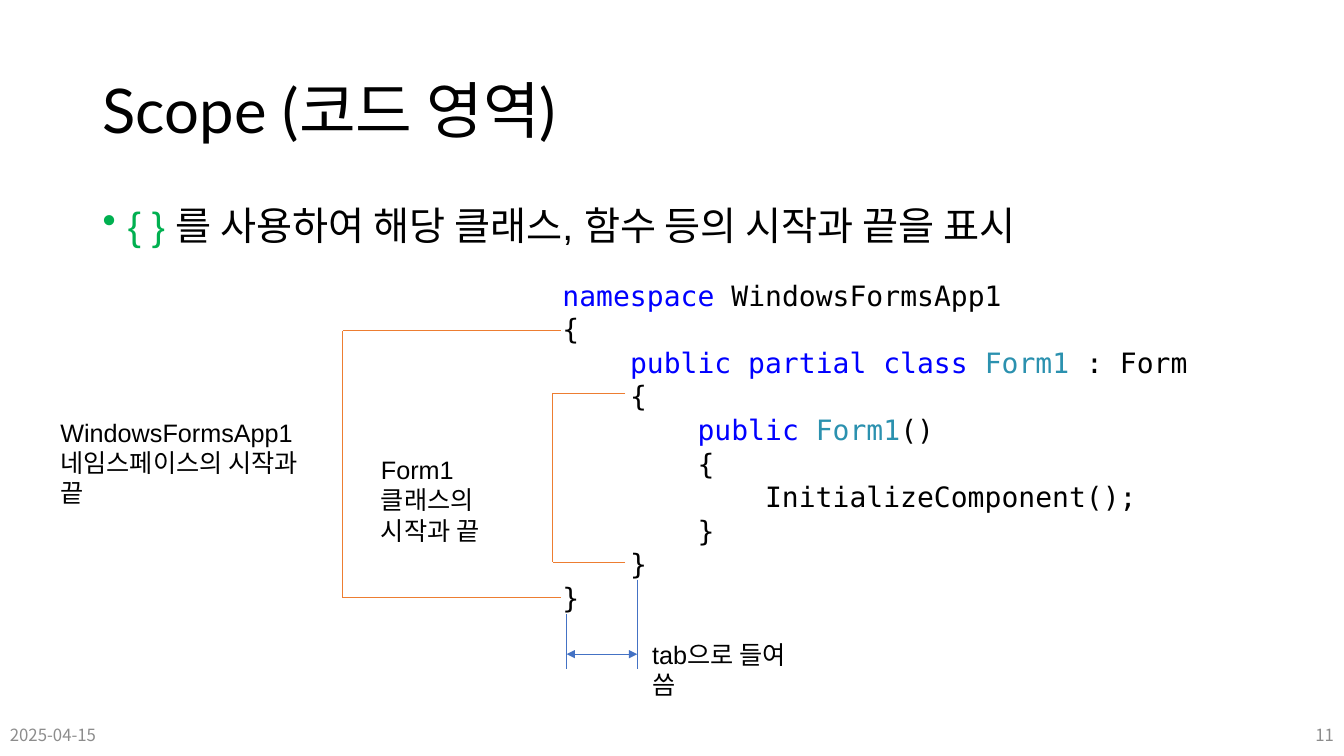
from pptx import Presentation
from pptx.dml.color import RGBColor
from pptx.enum.shapes import MSO_CONNECTOR
from pptx.enum.text import MSO_ANCHOR, PP_ALIGN
from pptx.oxml.ns import qn
from pptx.util import Pt
from lxml import etree

STRAIGHT = MSO_CONNECTOR.STRAIGHT
TOP, MIDDLE = MSO_ANCHOR.TOP, MSO_ANCHOR.MIDDLE
LEFT, RIGHT = PP_ALIGN.LEFT, PP_ALIGN.RIGHT

BLACK = RGBColor(0x00, 0x00, 0x00)
GREEN = RGBColor(0x00, 0xB0, 0x50)
GRAY = RGBColor(0x8C, 0x8C, 0x8C)
KEYWORD = RGBColor(0x00, 0x00, 0xFF)
TYPE = RGBColor(0x2B, 0x91, 0xAF)
ORANGE = RGBColor(0xED, 0x7D, 0x31)
BLUE = RGBColor(0x44, 0x72, 0xC4)

HEAD, BODY, MONO, FOOT = "Lato", "Arial", "DejaVu Sans Mono", "Noto Sans CJK KR"
PX = 9144  # 100 px to the inch
TAB = 67   # one code indent, four characters wide


class Page:
    def __init__(self, deck):
        self.slide = deck.slides.add_slide(deck.slide_layouts[6])

    def text(self, box, lines, font, size, color=BLACK, anchor=TOP, align=LEFT):
        """Each line is a string or a list of (text, color) runs."""
        shape = self.slide.shapes.add_textbox(*(v * PX for v in box))
        frame = shape.text_frame
        frame.word_wrap = True
        frame.vertical_anchor = anchor
        for i, line in enumerate(lines):
            para = frame.paragraphs[0] if i == 0 else frame.add_paragraph()
            para.alignment = align
            para.font.name = font
            para.font.size = Pt(size)
            if isinstance(line, str):
                line = [(line, color)]
            for words, tint in line:
                run = para.add_run()
                run.text = words
                run.font.color.rgb = tint
        return frame.paragraphs

    def indent(self, para, left, first=0):
        props = para._p.get_or_add_pPr()
        props.set("marL", str(left * PX))
        props.set("indent", str(first * PX))
        return props

    def bullet(self, para, width):
        props = self.indent(para, width, -width)
        mark = etree.Element(qn("a:buChar"), char="•")
        props.find(qn("a:defRPr")).addprevious(mark)

    def line(self, x1, y1, x2, y2, color, arrows=False):
        link = self.slide.shapes.add_connector(
            STRAIGHT, x1 * PX, y1 * PX, x2 * PX, y2 * PX)
        link.line.color.rgb = color
        link.line.width = Pt(0.5)
        if arrows:
            for end in ("a:headEnd", "a:tailEnd"):
                etree.SubElement(link.line._get_or_add_ln(), qn(end), type="triangle")
        etree.SubElement(link._element.spPr, qn("a:effectLst"))

    def bracket(self, left, right, top, bottom):
        for y in (top, bottom):
            self.line(right, y, left, y, ORANGE)
        self.line(left, top, left, bottom, ORANGE)


def main():
    deck = Presentation()
    deck.slide_width, deck.slide_height = 1333 * PX, 750 * PX
    page = Page(deck)

    # Title and main point
    title = page.text((92, 40, 1150, 145), ["Scope (코드 영역)"], HEAD, 44,
                      anchor=MIDDLE)[0]
    title.line_spacing = 0.9
    point = page.text((92, 200, 1150, 476), [[
        ("{ } ", GREEN),
        ("를 사용하여 해당 클래스, 함수 등의 시작과 끝을 표시", BLACK)]], BODY, 28)[0]
    point.line_spacing = 0.9
    point.space_before = Pt(10)
    page.bullet(point, 25)

    # Date and page number
    page.text((0, 709, 300, 40), ["2025-04-15"], FOOT, 12, GRAY, MIDDLE)
    page.text((1033, 709, 300, 40), ["11"], FOOT, 12, GRAY, MIDDLE, RIGHT)

    # Code: (indent level, line)
    code = [
        (0, [("namespace", KEYWORD), (" WindowsFormsApp1", BLACK)]),
        (0, "{"),
        (1, [("public partial class ", KEYWORD), ("Form1", TYPE), (" : Form", BLACK)]),
        (1, "{"),
        (2, [("public ", KEYWORD), ("Form1", TYPE), ("()", BLACK)]),
        (2, "{"),
        (3, "InitializeComponent();"),
        (2, "}"),
        (1, "}"),
        (0, "}"),
    ]
    paras = page.text((548, 271, 671, 347), [line for _, line in code], MONO, 20)
    for para, (level, _) in zip(paras, code):
        page.indent(para, level * TAB)

    # Namespace and class scopes
    page.bracket(340, 556, 328, 593)
    page.text((50, 409, 272, 71), ["WindowsFormsApp1", "네임스페이스의 시작과 끝"], BODY, 18)
    page.bracket(548, 620, 390, 558)
    page.text((368, 446, 184, 71), ["Form1 클래스의", "시작과 끝"], BODY, 18)

    # Tab width
    page.line(562, 649, 632, 649, BLUE, arrows=True)
    for x, top in ((562, 609), (632, 575)):
        page.line(x, top, x, 664, BLUE)
    page.text((637, 629, 179, 40), ["tab으로 들여 씀"], BODY, 18)

    deck.save("out.pptx")


if __name__ == "__main__":
    main()
